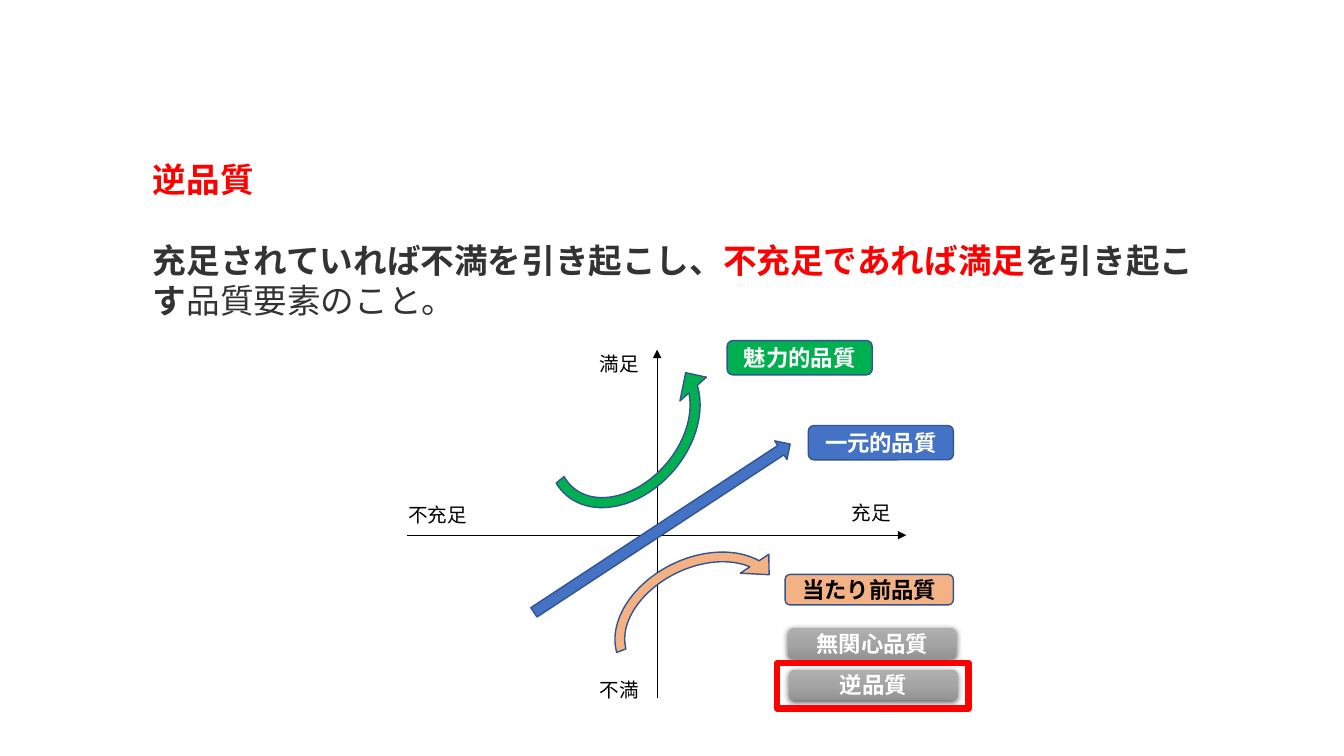
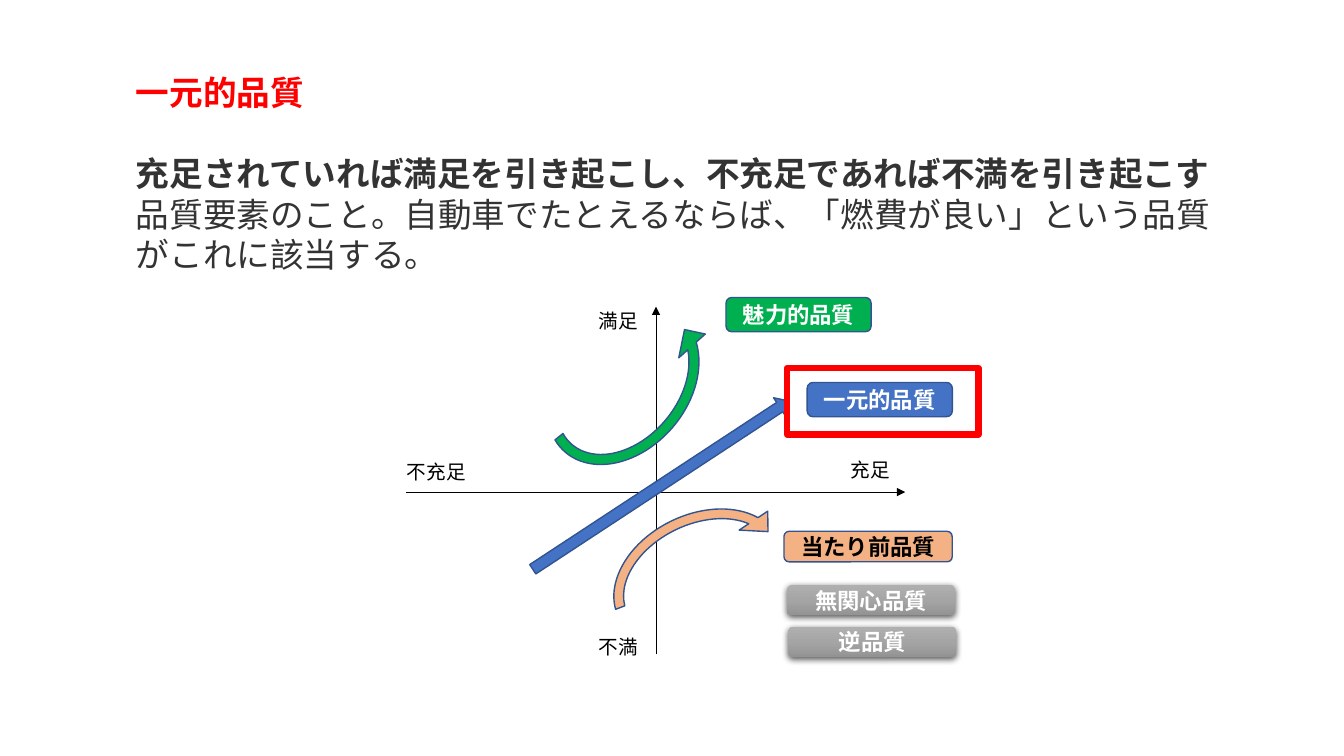
from lxml import etree
from pptx import Presentation
from pptx.dml.color import RGBColor
from pptx.enum.shapes import MSO_CONNECTOR, MSO_SHAPE
from pptx.enum.text import MSO_ANCHOR, PP_ALIGN
from pptx.oxml import parse_xml
from pptx.oxml.ns import nsdecls, qn
from pptx.util import Pt

STRAIGHT = MSO_CONNECTOR.STRAIGHT
RECT = MSO_SHAPE.RECTANGLE
ROUND = MSO_SHAPE.ROUNDED_RECTANGLE
RIGHT_ARROW = MSO_SHAPE.RIGHT_ARROW
CIRCULAR_ARROW = MSO_SHAPE.CIRCULAR_ARROW
MIDDLE = MSO_ANCHOR.MIDDLE
LEFT, CENTER = PP_ALIGN.LEFT, PP_ALIGN.CENTER

FONT = "Noto Sans CJK JP"
LINE_HEIGHT = 1.21
COLORS = {
    "black": "000000", "white": "FFFFFF", "text": "333333", "red": "FF0000",
    "blue": "4472C4", "outline": "325491", "green": "00B050", "orange": "F4B183",
}
GRAY_STOPS = ((0, "AFAFAF"), (50, "A5A5A5"), (100, "939393"))


def rgb(name):
    return RGBColor.from_string(COLORS[name])


def add_run(p, text, size=24, color="black", bold=False, latin=FONT):
    r = p.add_run()
    r.text = text
    r.font.size = Pt(size)
    r.font.bold = bold
    r.font.color.rgb = rgb(color)
    r.font.name = latin
    etree.SubElement(r.font._element, qn("a:ea")).set("typeface", FONT)
    p.line_spacing = Pt(round(size * LINE_HEIGHT, 2))


class Deck:
    def __init__(self):
        self.prs = Presentation()
        self.prs.slide_width, self.prs.slide_height = Pt(960), Pt(540)

    def new_slide(self, origin_x, origin_y):
        self.s = self.prs.slides.add_slide(self.prs.slide_layouts[6])
        self.origin = origin_x, origin_y

    def place(self, x, y):
        return Pt(self.origin[0] + x), Pt(self.origin[1] + y)

    def definition(self, x, y, w, h, title, parts):
        tf = self.s.shapes.add_textbox(Pt(x), Pt(y), Pt(w), Pt(h)).text_frame
        tf.word_wrap = True
        add_run(tf.paragraphs[0], title, color="red", bold=True)
        p = tf.add_paragraph()
        p.space_before = Pt(29)
        for text, color, bold in parts:
            add_run(p, text, color=color, bold=bold, latin="Arial")

    def axis(self, x1, y1, x2, y2):
        line = self.s.shapes.add_connector(STRAIGHT, *self.place(x1, y1), *self.place(x2, y2))
        line.line.color.rgb = rgb("black")
        line.line.width = Pt(0.5)
        etree.SubElement(line.line._get_or_add_ln(), qn("a:tailEnd")).set("type", "triangle")
        etree.SubElement(line._element.spPr, qn("a:effectLst"))

    def label(self, x, y, w, text):
        sp = self.s.shapes.add_textbox(*self.place(x, y), Pt(w), Pt(24.5))
        sp.text_frame.word_wrap = True
        add_run(sp.text_frame.paragraphs[0], text, size=14)

    def shape(self, kind, x, y, w, h, fill=None, line="outline", width=1):
        sp = self.s.shapes.add_shape(kind, *self.place(x, y), Pt(w), Pt(h))
        if fill == "gray":
            self.gray_relief(sp)
            return sp
        sp.shadow.inherit = False
        if fill:
            sp.fill.solid()
            sp.fill.fore_color.rgb = rgb(fill)
        else:
            sp.fill.background()
        sp.line.color.rgb = rgb(line)
        sp.line.width = Pt(width)
        return sp

    def gray_relief(self, sp):
        stops = "".join(
            f'<a:gs pos="{pos * 1000}"><a:srgbClr val="{color}"/></a:gs>'
            for pos, color in GRAY_STOPS)
        spPr = sp._element.spPr
        spPr.append(parse_xml(
            f'<a:gradFill {nsdecls("a")}><a:gsLst>{stops}</a:gsLst>'
            '<a:lin ang="5400000" scaled="0"/></a:gradFill>'))
        sp.line.fill.background()
        spPr.append(parse_xml(
            f'<a:effectLst {nsdecls("a")}><a:outerShdw blurRad="{Pt(4.5)}" '
            f'dist="{Pt(1.5)}" dir="5400000" algn="ctr" rotWithShape="0">'
            f'<a:srgbClr val="{COLORS["black"]}"><a:alpha val="63000"/></a:srgbClr>'
            '</a:outerShdw></a:effectLst>'))

    def curve(self, x, y, h, rotation, start, fill, flip=False):
        sp = self.shape(CIRCULAR_ARROW, x, y, 144.7, h, fill)
        sp.rotation = rotation
        for i, value in enumerate((0.065, 7.518, 204.015, start, 0.114)):
            sp.adjustments[i] = value
        if flip:
            sp._element.spPr.find(qn("a:xfrm")).set("flipV", "1")

    def tag(self, x, y, w, h, text, fill, color="white"):
        tf = self.shape(ROUND, x, y, w, h, fill).text_frame
        tf.margin_top = tf.margin_bottom = 0
        tf.vertical_anchor = MIDDLE
        tf.word_wrap = True
        tf.paragraphs[0].alignment = CENTER
        add_run(tf.paragraphs[0], text, size=16, color=color, bold=True)

    def quality_diagram(self):
        self.axis(-178.5, 0, 178, 0)
        self.axis(0, 116, 0, -132.5)
        self.shape(RIGHT_ARROW, -106, -13, 219, 16, "blue").rotation = 326.7
        self.curve(-96, -132.3, 111.6, 310.6, 101.766, "green", flip=True)
        self.curve(-42, 7.5, 107.3, 333.9, 111.124, "orange")
        for x, y, w, text in (
            (-48.2, -134.5, 50.4, "満足"),
            (-48.2, 98, 50.4, "不満"),
            (-185, -27, 60.5, "不充足"),
            (131.8, -28, 50.4, "充足"),
        ):
            self.label(x, y, w, text)
        self.tag(108, -78.3, 103.7, 24.5, "一元的品質", "blue")
        self.tag(91.4, 28, 120.2, 21.8, "当たり前品質", "orange", "black")
        self.tag(50, -139, 103.7, 24.5, "魅力的品質", "green")
        self.tag(93.6, 66.3, 120.2, 21.8, "無関心品質", "gray")
        self.tag(94.4, 96, 120.2, 21.8, "逆品質", "gray")

    def highlight(self, x, y, h):
        self.shape(RECT, x, y, 136.8, h, line="red", width=4.5)


def main():
    deck = Deck()

    deck.new_slide(469.4, 382.3)
    deck.definition(102.2, 109.4, 779, 123.8, "逆品質", (
        ("充足されていれば不満を引き起こし、", "text", True),
        ("不充足であれば満足", "red", True),
        ("を引き起こす", "text", True),
        ("品質要素のこと。", "text", False),
    ))
    deck.quality_diagram()
    deck.highlight(85.7, 91.4, 32.4)

    deck.new_slide(468.6, 351.5)
    deck.definition(90, 47.5, 800.6, 152.6, "一元的品質", (
        ("充足されていれば満足を引き起こし、不充足であれば不満を引き起こす", "text", True),
        ("品質要素のこと。自動車でたとえるならば、「燃費が良い」という品質がこれに該当する。",
         "text", False),
    ))
    deck.quality_diagram()
    deck.highlight(93.6, -88.6, 47.5)

    deck.prs.save("out.pptx")


if __name__ == "__main__":
    main()
